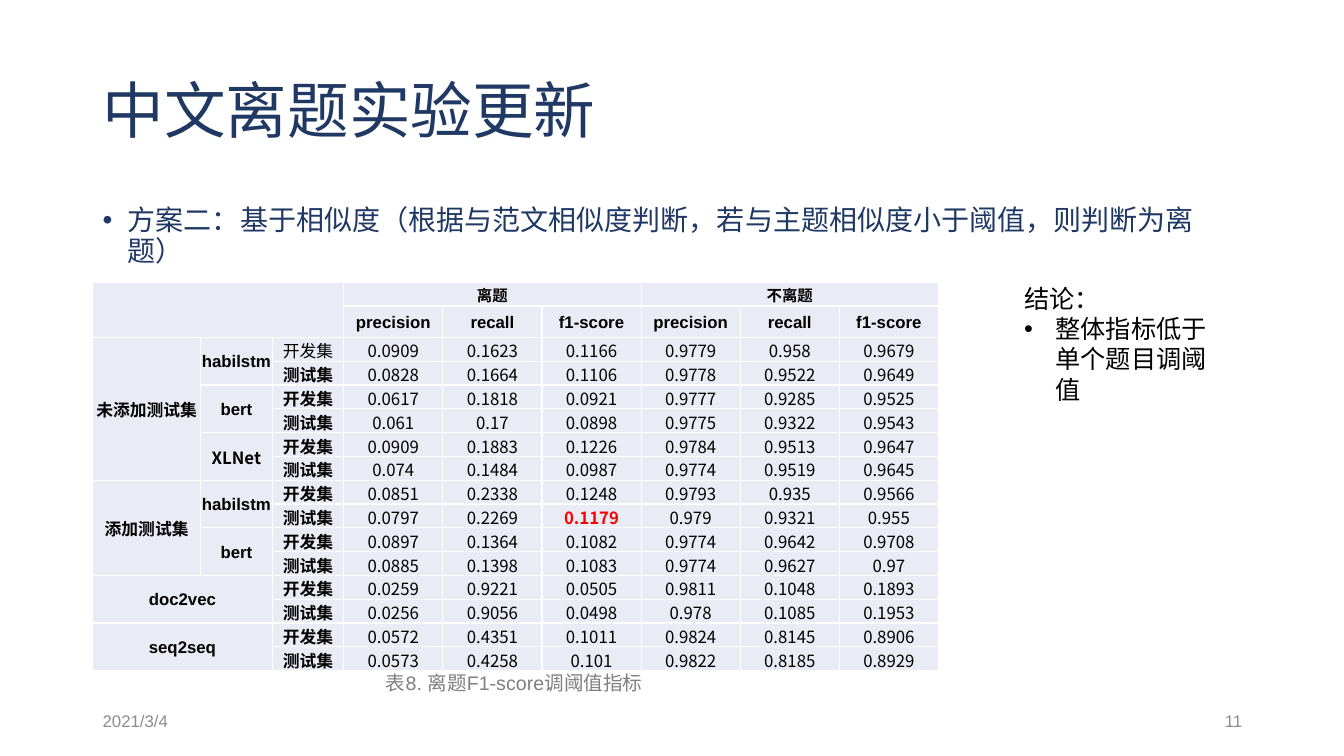
from lxml.etree import SubElement
from pptx import Presentation
from pptx.dml.color import RGBColor
from pptx.enum.lang import MSO_LANGUAGE_ID
from pptx.enum.text import MSO_ANCHOR, PP_ALIGN
from pptx.oxml.ns import qn
from pptx.util import Inches, Pt

INK = {"navy": "203864", "black": "000000", "gray": "808080", "pale": "8C8C8C",
       "red": "FF0000", "white": "FFFFFF", "cell": "E9EBF5"}
SANS, SERIF, NOTO = "Arial", "Times New Roman", "Noto Sans CJK SC"


def write(para, text, size, name, ink, bold=False):
    run = para.add_run()
    run.text = text
    form = {"size": Pt(size), "name": name, "bold": bold,
            "language_id": MSO_LANGUAGE_ID.SIMPLIFIED_CHINESE}
    for key, value in form.items():
        setattr(run.font, key, value)
    run.font.color.rgb = RGBColor.from_string(INK[ink])


def bullet(para, gap):
    props = para._p.get_or_add_pPr()
    props.set("marL", str(Inches(gap)))
    props.set("indent", str(-Inches(gap)))
    SubElement(props, qn("a:buFont"), typeface=SANS)
    SubElement(props, qn("a:buChar"), char="•")


deck = Presentation()
deck.slide_width, deck.slide_height = Inches(13.33), Inches(7.5)
slide = deck.slides.add_slide(deck.slide_layouts[6])

LEFT, MID, TOP = PP_ALIGN.LEFT, MSO_ANCHOR.MIDDLE, MSO_ANCHOR.TOP
notes = [
    ((0.92, 0.4, 11.5, 1.45), MID, LEFT, 0.9, 0,
     [("中文离题实验更新", 44, SERIF, "navy")]),
    ((0.92, 6.95, 3, 0.4), MID, LEFT, 1, 0, [("2021/3/4", 12, SANS, "pale")]),
    ((9.42, 6.95, 3, 0.4), MID, PP_ALIGN.RIGHT, 1, 0, [("11", 12, SANS, "pale")]),
    ((0.92, 2, 11.5, 0.75), TOP, LEFT, 0.9, 0.25,
     [("方案二：基于相似度（根据与范文相似度判断，若与主题相似度小于阈值，则判断为离题）",
       20, SERIF, "navy")]),
    ((3.73, 6.61, 2.76, 0.34), TOP, LEFT, 1, 0,
     [("表8. 离题F1-score调阈值指标", 14, SANS, "gray")]),
    ((10.06, 2.76, 2.22, 1.31), TOP, LEFT, 1, 0.31,
     [("结论：", 18, SANS, "black"), ("整体指标低于单个题目调阈值", 18, SANS, "black")]),
]
for place, anchor, align, lead, gap, lines in notes:
    frame = slide.shapes.add_textbox(*map(Inches, place)).text_frame
    frame.word_wrap = True
    frame.vertical_anchor = anchor
    for num, line in enumerate(lines):
        para = frame.add_paragraph() if num else frame.paragraphs[0]
        para.alignment = align
        para.line_spacing = lead
        if gap and num == len(lines) - 1:
            bullet(para, gap)
        write(para, *line)

scores = [
    "0.0909 0.1623 0.1166 0.9779 0.958 0.9679",
    "0.0828 0.1664 0.1106 0.9778 0.9522 0.9649",
    "0.0617 0.1818 0.0921 0.9777 0.9285 0.9525",
    "0.061 0.17 0.0898 0.9775 0.9322 0.9543",
    "0.0909 0.1883 0.1226 0.9784 0.9513 0.9647",
    "0.074 0.1484 0.0987 0.9774 0.9519 0.9645",
    "0.0851 0.2338 0.1248 0.9793 0.935 0.9566",
    "0.0797 0.2269 0.1179 0.979 0.9321 0.955",
    "0.0897 0.1364 0.1082 0.9774 0.9642 0.9708",
    "0.0885 0.1398 0.1083 0.9774 0.9627 0.97",
    "0.0259 0.9221 0.0505 0.9811 0.1048 0.1893",
    "0.0256 0.9056 0.0498 0.978 0.1085 0.1953",
    "0.0572 0.4351 0.1011 0.9824 0.8145 0.8906",
    "0.0573 0.4258 0.101 0.9822 0.8185 0.8929",
]
spans = [
    (0, 0, 2, 3, ""), (0, 3, 1, 3, "离题"), (0, 6, 1, 3, "不离题"),
    (2, 0, 6, 1, "未添加测试集"), (8, 0, 4, 1, "添加测试集"),
    (2, 1, 2, 1, "habilstm"), (4, 1, 2, 1, "bert"), (6, 1, 2, 1, "XLNet"),
    (8, 1, 2, 1, "habilstm"), (10, 1, 2, 1, "bert"),
    (12, 0, 2, 2, "doc2vec"), (14, 0, 2, 2, "seq2seq"),
]
words = {(row, col): text for row, col, _, _, text in spans}
for col in range(6):
    words[1, col + 3] = ("precision", "recall", "f1-score")[col % 3]
for row, line in enumerate(scores, 2):
    words[row, 2] = ("开发集", "测试集")[row % 2]
    for col, score in enumerate(line.split(), 3):
        words[row, col] = score

grid = slide.shapes.add_table(16, 9, Inches(0.92), Inches(2.8),
                              Inches(8.39), Inches(3.78)).table
grid.first_row = grid.horz_banding = False
for band in grid.rows:
    band.height = Inches(3.78 / 16)
for col, wide in enumerate([1.07, 0.71, 0.71] + [5.9 / 6] * 6):
    grid.columns[col].width = Inches(wide)
for row, col, tall, wide, _ in spans:
    grid.cell(row, col).merge(grid.cell(row + tall - 1, col + wide - 1))

pad = {"margin_left": Inches(0.01), "margin_right": Inches(0.01),
       "margin_top": Inches(0.01), "margin_bottom": 0, "vertical_anchor": MID}
for row in range(16):
    for col in range(9):
        cell = grid.cell(row, col)
        for key, value in pad.items():
            setattr(cell, key, value)
        props = cell._tc.get_or_add_tcPr()
        for side in ("lnL", "lnR", "lnT", "lnB"):
            edge = SubElement(props, qn("a:" + side), w=str(Pt(1)))
            SubElement(SubElement(edge, qn("a:solidFill")), qn("a:srgbClr"), val=INK["white"])
        cell.fill.solid()
        cell.fill.fore_color.rgb = RGBColor.from_string(INK["cell"])
        text = words.get((row, col))
        if not text:
            continue
        para = cell.text_frame.paragraphs[0]
        para.alignment = PP_ALIGN.CENTER
        data = row > 1 and col > 2
        best = (row, col) == (9, 5)
        write(para, text, 12 if row else 11,
              NOTO if data or text == "XLNet" else SANS,
              "red" if best else "black",
              best or not data and (row, col) != (2, 2))

deck.save("out.pptx")
